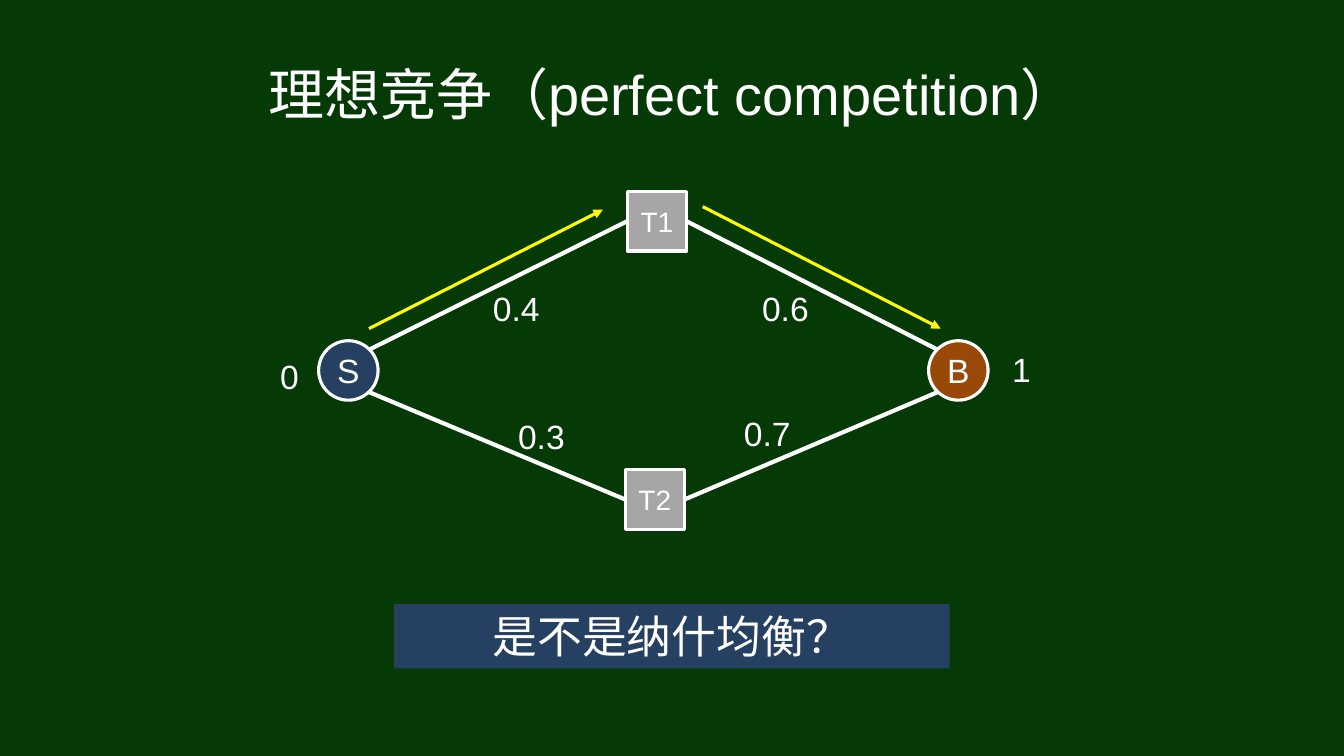
from dataclasses import dataclass

from lxml import etree
from pptx import Presentation
from pptx import util as u
from pptx.dml.color import RGBColor
from pptx.enum import shapes, text
from pptx.oxml import ns

PX = u.Inches(1) // 100
RIGHT_SIDE, LEFT_SIDE = 3, 1


@dataclass(frozen=True)
class Theme:
    """Colours, fonts, type sizes and line widths of the slide."""
    background: str = "053905"
    ink: str = "FFFFFF"
    navy: str = "254061"
    grey: str = "A6A6A6"
    brown: str = "984807"
    yellow: str = "FFFF00"
    latin: str = "Arial"
    chinese: str = "Noto Sans CJK SC"
    title: int = 40
    question: int = 32
    label: int = 24
    trader: int = 20
    outline: float = 2.25
    edge: float = 3


THEME = Theme()


def px(*lengths):
    """Turn px lengths into EMU."""
    return [u.Emu(length * PX) for length in lengths]


def colour(code):
    """Turn a hex code into a colour."""
    return RGBColor.from_string(code)


def write(box, spans, size, anchor=text.MSO_ANCHOR.MIDDLE):
    """Write one centred paragraph of (words, font) spans into a box."""
    frame = box.text_frame
    frame.word_wrap = True
    frame.vertical_anchor = anchor
    para = frame.paragraphs[0]
    para.alignment = text.PP_ALIGN.CENTER
    for words, font_name in spans:
        span = para.add_run()
        span.text = words
        span.font.size = u.Pt(size)
        span.font.color.rgb = colour(THEME.ink)
        span.font.name = font_name
        properties = span.font._element
        east_asian = etree.SubElement(properties, ns.qn("a:ea"))
        east_asian.set("typeface", font_name)


def add_title(page, spans):
    """Place and fill the title placeholder."""
    title = page.shapes.title
    title.left, title.top, title.width, title.height = px(67, 30, 1200, 125)
    write(title, spans, THEME.title)


def add_block(page, kind, place, fill):
    """Add a filled shape without shadow or outline."""
    block = page.shapes.add_shape(kind, *px(*place))
    block.shadow.inherit = False
    block.fill.solid()
    block.fill.fore_color.rgb = colour(fill)
    block.line.fill.background()
    return block


def add_node(page, kind, left, top, fill, name, size):
    """Add an outlined node of the network."""
    node = add_block(page, kind, (left, top, 59, 59), fill)
    node.line.color.rgb = colour(THEME.ink)
    node.line.width = u.Pt(THEME.outline)
    write(node, [(name, THEME.latin)], size)
    return node


def add_trader(page, left, top, name):
    """Add a square trader node with narrow side margins."""
    trader = add_node(page, shapes.MSO_SHAPE.RECTANGLE, left, top,
                      THEME.grey, name, THEME.trader)
    frame = trader.text_frame
    frame.margin_left, frame.margin_right = px(4, 4)
    return trader


def add_line(page, start, end, ink, width):
    """Add a straight line between two points."""
    line = page.shapes.add_connector(
        shapes.MSO_CONNECTOR.STRAIGHT, *px(*start, *end))
    line.line.color.rgb = colour(ink)
    line.line.width = u.Pt(width)
    etree.SubElement(line._element.spPr, ns.qn("a:effectLst"))
    return line


def add_edges(page, trader, height, middle):
    """Join a trader to the seller on its left and the buyer on its right."""
    incoming = add_line(page, (366, height), (622, middle), THEME.ink, THEME.edge)
    incoming.end_connect(trader, LEFT_SIDE)
    outgoing = add_line(page, (680, middle), (930, height), THEME.ink, THEME.edge)
    outgoing.begin_connect(trader, RIGHT_SIDE)


def add_flow(page, start, end):
    """Add an arrow that shows the flow of goods."""
    flow = add_line(page, start, end, THEME.yellow, THEME.outline)
    etree.SubElement(flow.line._get_or_add_ln(), ns.qn("a:tailEnd"), type="triangle")


def add_value(page, left, top, value):
    """Add a price or valuation label."""
    label = page.shapes.add_textbox(*px(left, top, 88, 44))
    write(label, [(value, THEME.latin)], THEME.label)


def add_question(page, words):
    """Add the question bar below the network."""
    bar = add_block(page, shapes.MSO_SHAPE.RECTANGLE, (391, 599, 551, 64), THEME.navy)
    write(bar, [(words, THEME.chinese)], THEME.question, text.MSO_ANCHOR.TOP)
    bar.text_frame.auto_size = text.MSO_AUTO_SIZE.SHAPE_TO_FIT_TEXT


def main():
    """Build the slide and save the deck."""
    deck = Presentation()
    deck.slide_width, deck.slide_height = px(1333, 750)
    page = deck.slides.add_slide(deck.slide_layouts[5])
    page.background.fill.solid()
    page.background.fill.fore_color.rgb = colour(THEME.background)

    add_title(page, [("理想竞争（", THEME.chinese),
                     ("perfect competition", THEME.latin),
                     ("）", THEME.chinese)])
    add_question(page, "是不是纳什均衡？")

    for left, fill, name in ((316, THEME.navy, "S"), (921, THEME.brown, "B")):
        add_node(page, shapes.MSO_SHAPE.OVAL, left, 338, fill, name, THEME.label)
    for left, top, name, height in ((622, 190, "T1", 347), (620, 466, "T2", 389)):
        trader = add_trader(page, left, top, name)
        add_edges(page, trader, height, top + 30)

    add_flow(page, (366, 326), (598, 208))
    add_flow(page, (697, 205), (933, 326))

    for left, top, value in ((468, 284, "0.4"), (735, 284, "0.6"),
                             (493, 411, "0.3"), (717, 408, "0.7"),
                             (969, 344, "1"), (243, 351, "0")):
        add_value(page, left, top, value)
    deck.save("out.pptx")


if __name__ == "__main__":
    main()
